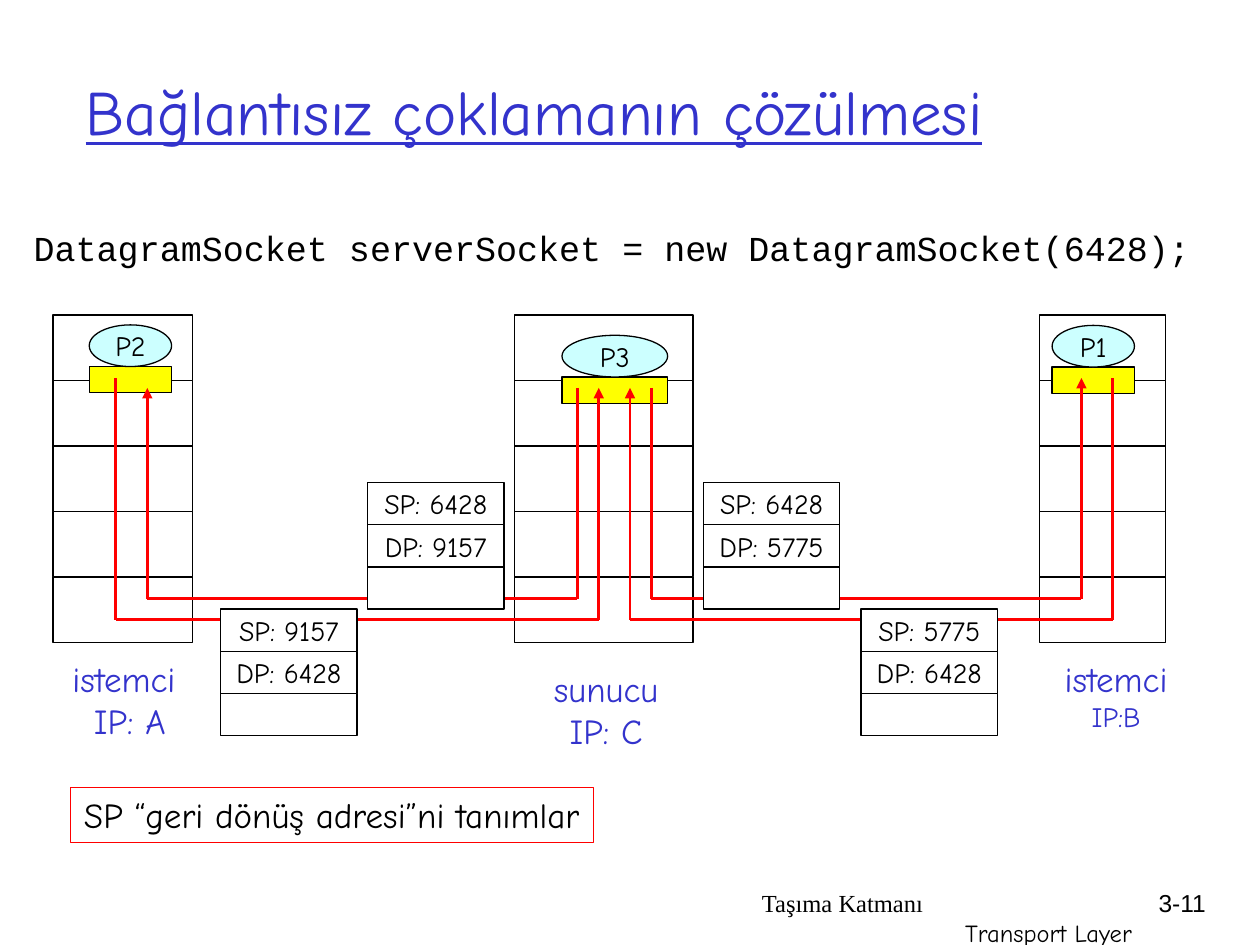
from pptx import Presentation
from pptx.dml.color import RGBColor
from pptx.enum import shapes, text
from pptx.oxml import ns
from pptx.util import Cm, Pt
from lxml import etree

BLACK = RGBColor(0, 0, 0)
WHITE = RGBColor(255, 255, 255)
BLUE = RGBColor(0x33, 0x33, 0xCC)
RED = RGBColor(255, 0, 0)
YELLOW = RGBColor(255, 255, 0)
CYAN = RGBColor(0xCC, 255, 255)

HAND = "Comic Neue"
RECT = shapes.MSO_SHAPE.RECTANGLE
OVAL = shapes.MSO_SHAPE.OVAL
LEFT, CENTER, RIGHT = text.PP_ALIGN.LEFT, text.PP_ALIGN.CENTER, text.PP_ALIGN.RIGHT

STACK_TOP, LAYERS, LAYER_H = 6.35, 5, 1.32
PACKET_W, PACKET_ROW = 2.75, 0.85
LABEL_W, LABEL_H = 3.2, 1.95


def style(p, size, color=BLACK, font=HAND, align=LEFT):
    p.alignment = align
    for r in p.runs:
        r.font.size = Pt(size)
        r.font.name = font
        r.font.color.rgb = color


def add_box(s, kind, x, y, w, h, fill, label="", line=BLACK, size=16):
    sp = s.shapes.add_shape(kind, Cm(x), Cm(y), Cm(w), Cm(h))
    sp.shadow.inherit = False
    if fill is None:
        sp.fill.background()
    else:
        sp.fill.solid()
        sp.fill.fore_color.rgb = fill
    sp.line.color.rgb = line
    sp.line.width = Pt(0.75)
    if label:
        tf = sp.text_frame
        tf.word_wrap = False
        tf.vertical_anchor = text.MSO_ANCHOR.MIDDLE
        tf.text = label
        style(tf.paragraphs[0], size, align=CENTER)


def add_text(s, x, y, w, h, lines):
    tf = s.shapes.add_textbox(Cm(x), Cm(y), Cm(w), Cm(h)).text_frame
    tf.word_wrap = True
    for i, (words, *look) in enumerate(lines):
        p = tf.add_paragraph() if i else tf.paragraphs[0]
        p.text = words
        style(p, *look)


def add_line(s, x1, y1, x2, y2, arrow=False):
    c = s.shapes.add_connector(shapes.MSO_CONNECTOR.STRAIGHT, Cm(x1), Cm(y1), Cm(x2), Cm(y2))
    c.line.color.rgb = RED
    c.line.width = Pt(1.5)
    if arrow:
        etree.SubElement(c.line._get_or_add_ln(), ns.qn("a:tailEnd"), type="triangle")
    etree.SubElement(c._element.spPr, ns.qn("a:effectLst"))


def add_host(s, x, w, name, px, py, pw):
    for i in range(LAYERS):
        add_box(s, RECT, x, STACK_TOP + i * LAYER_H, w, LAYER_H, WHITE)
    add_box(s, RECT, px, py + 0.84, pw, 0.53, YELLOW)
    add_box(s, OVAL, px, py, pw, 0.84, CYAN, name)


def add_route(s, x1, y1, x2, y2, bus):
    add_line(s, x1, y1, x1, bus)
    add_line(s, x1, bus, x2, bus)
    add_line(s, x2, bus, x2, y2, arrow=True)


def add_packet(s, x, y, source, dest):
    for i, label in enumerate((f"SP: {source}", f"DP: {dest}", "")):
        add_box(s, RECT, x, y + i * PACKET_ROW, PACKET_W, PACKET_ROW, WHITE, label)


def add_title(s, words):
    sp = s.shapes.title
    sp.left, sp.top, sp.width, sp.height = Cm(1.47), Cm(0.64), Cm(21.59), Cm(3.18)
    tf = sp.text_frame
    tf.text = words
    tf.auto_size = text.MSO_AUTO_SIZE.NONE
    tf.vertical_anchor = text.MSO_ANCHOR.MIDDLE
    style(tf.paragraphs[0], 36, BLUE)
    tf.paragraphs[0].runs[0].font.underline = True


def main():
    prs = Presentation()
    prs.slide_width, prs.slide_height = Cm(25.4), Cm(19.05)
    s = prs.slides.add_slide(prs.slide_layouts[5])

    add_title(s, "Bağlantısız çoklamanın çözülmesi")
    add_text(s, 0.43, 4.45, 24.13, 1.7, [
        ("DatagramSocket serverSocket = new DatagramSocket(6428);", 20, BLACK, "Courier New")])

    for host in (
        (1.07, 2.81, "P2", 1.8, 6.55, 1.66),
        (10.37, 3.6, "P3", 11.33, 6.76, 2.13),
        (20.95, 2.54, "P1", 21.21, 6.56, 1.66),
    ):
        add_host(s, *host)

    for center, y, role, address, size in (
        (2.5, 13.12, "istemci", " IP: A", 20),
        (12.22, 13.34, "sunucu", "IP: C", 20),
        (22.5, 13.13, "istemci", "IP:B", 16),
    ):
        add_text(s, center - LABEL_W / 2, y, LABEL_W, LABEL_H, [
            (role, 20, BLUE, HAND, CENTER), (address, size, BLUE, HAND, CENTER)])

    for route in (
        (2.33, 7.62, 12.07, 7.82, 12.49),
        (11.64, 7.82, 2.97, 7.82, 12.07),
        (22.43, 7.62, 12.7, 7.82, 12.49),
        (13.13, 7.82, 21.8, 7.62, 12.07),
    ):
        add_route(s, *route)

    for packet in (
        (7.41, 9.73, 6428, 9157),
        (4.45, 12.28, 9157, 6428),
        (14.18, 9.73, 6428, 5775),
        (17.36, 12.28, 5775, 6428),
    ):
        add_packet(s, *packet)

    add_box(s, RECT, 1.42, 15.87, 10.54, 1.11, None,
            "SP “geri dönüş adresi”ni tanımlar", RED, 20)

    add_text(s, 15.11, 17.78, 7.96, 1.27, [
        ("Taşıma Katmanı", 14, BLACK, "Times New Roman"),
        ("Transport Layer", 14, BLACK, HAND, RIGHT)])
    add_text(s, 22.68, 17.78, 1.88, 1.27, [("3-11", 14, BLACK, "Arial", RIGHT)])

    prs.save("out.pptx")


if __name__ == "__main__":
    main()
